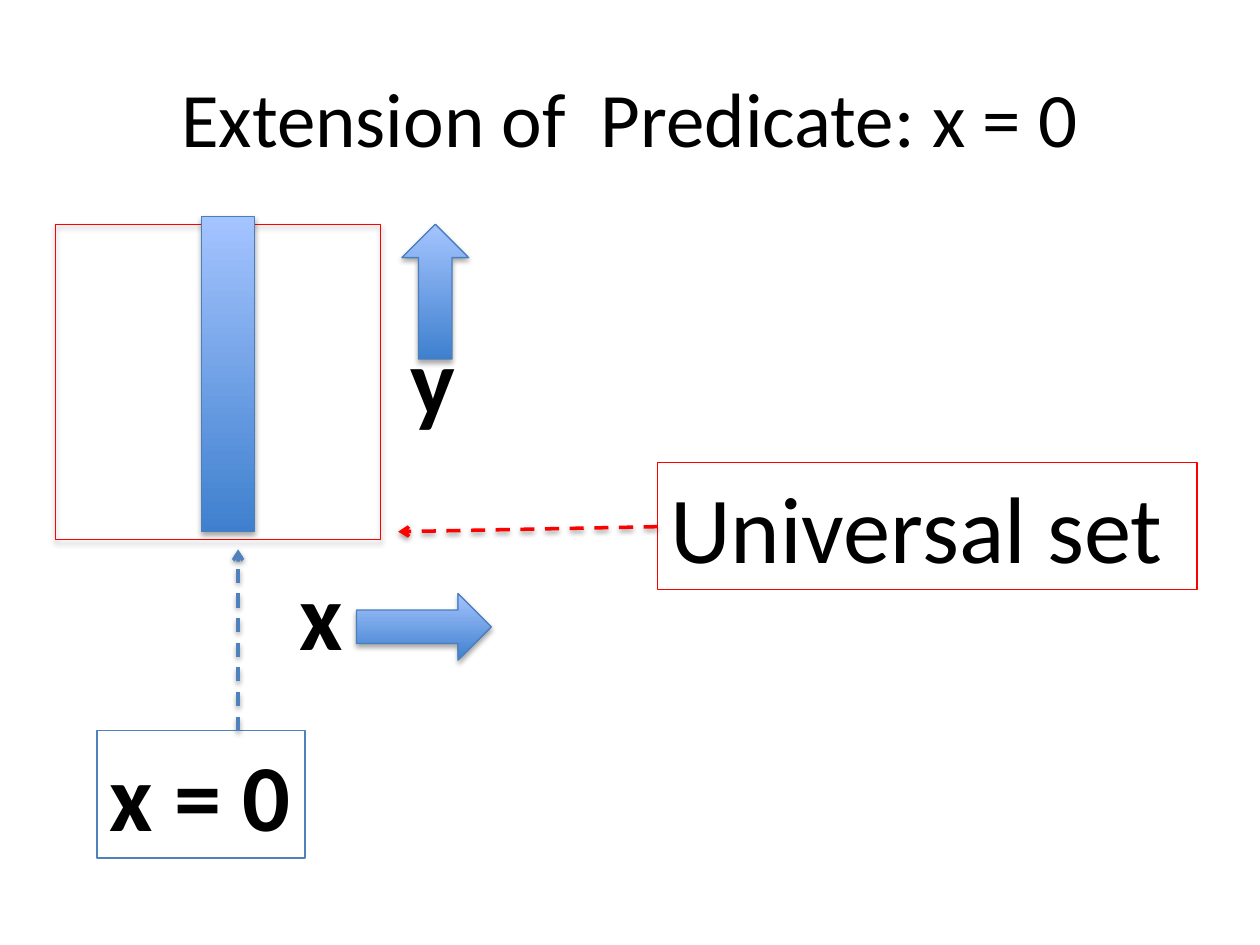
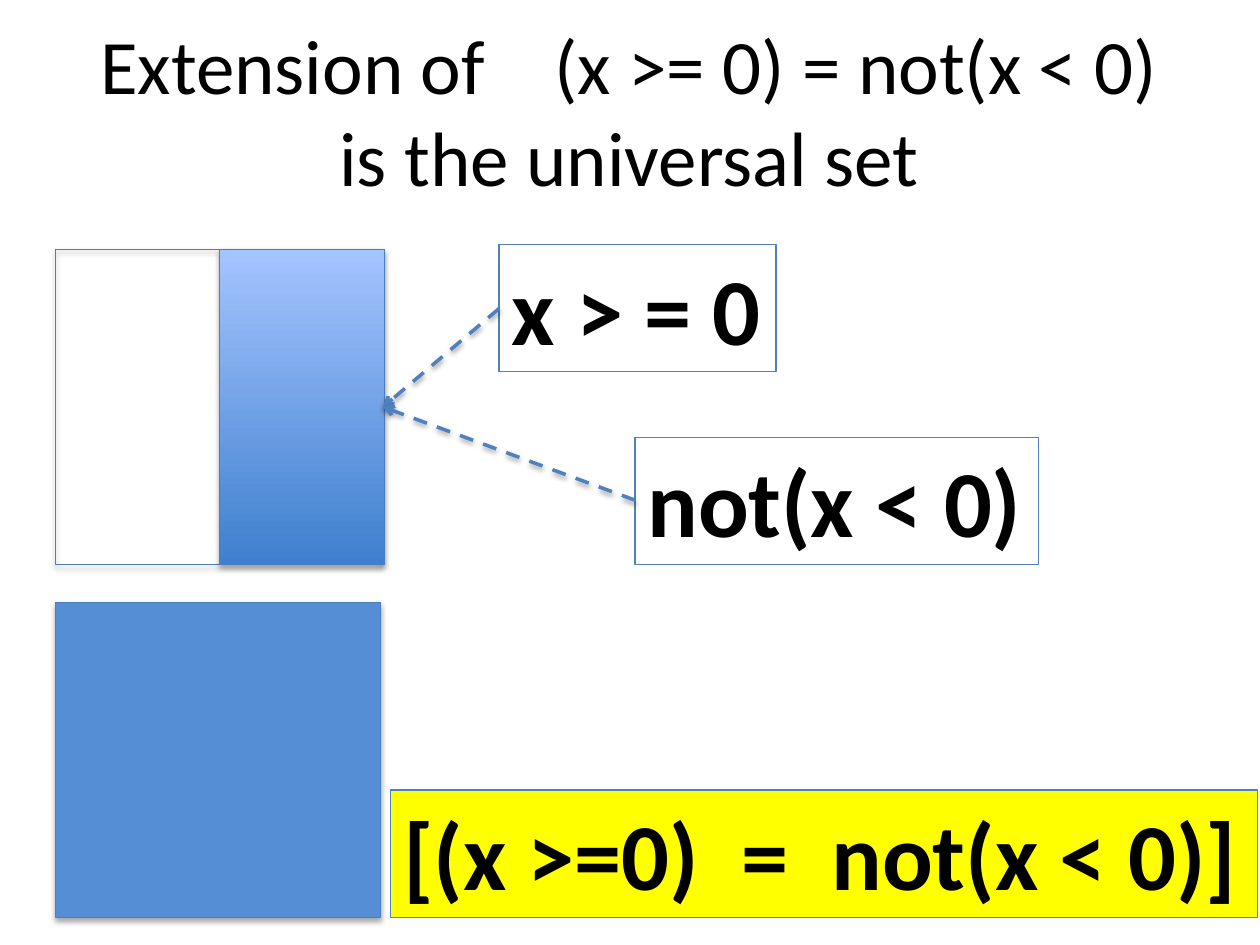
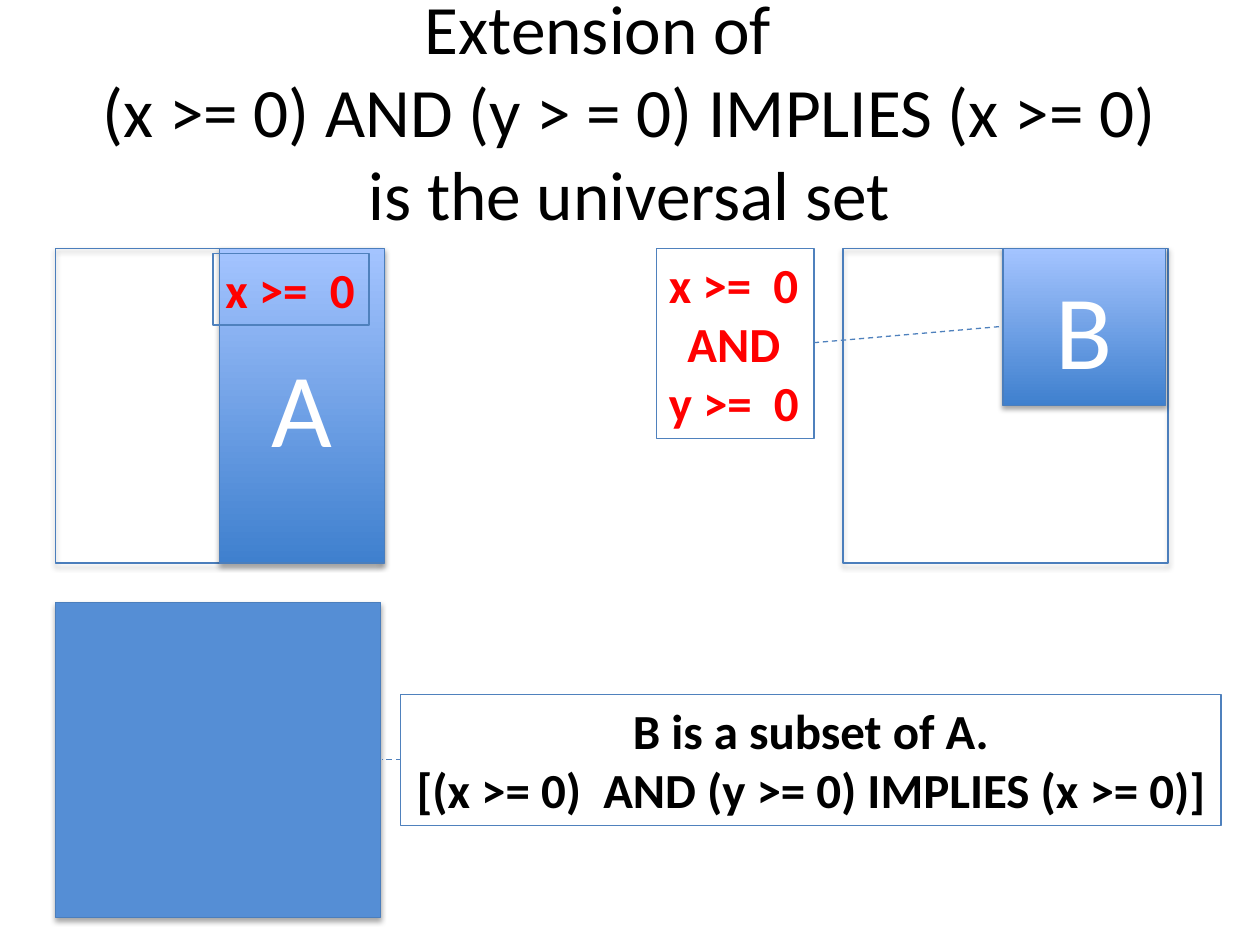
from lxml.etree import SubElement
from pptx import Presentation
from pptx.dml.color import RGBColor
from pptx.enum.dml import MSO_LINE_DASH_STYLE as Dash
from pptx.enum.shapes import MSO_CONNECTOR_TYPE as Connector, MSO_SHAPE as Shape
from pptx.enum.text import MSO_ANCHOR as Anchor, MSO_AUTO_SIZE as AutoSize, PP_ALIGN as Align
from pptx.oxml.ns import qn
from pptx.util import Inches, Pt

# The page is a grid of 100 columns by 75 rows; every place is given in its cells.
CELL = Inches(0.1)
COLUMNS, ROWS = 100, 75
TITLE_ONLY = 5
FONT = "Calibri"
COLORS = {
    "text": "000000",
    "light": "FFFFFF",
    "red": "FF0000",
    "highlight": "FFFF00",
    "outline": "4B7EBC",
    "accent": "4F81BD",
    "solid": "558ED5",
    "dark": "3F80CE",
    "pale": "A4C4FF",
}
TITLE_PLACE = (5.4, 0, 89.1, 17.4)
PANEL_LEFT, PANEL_WIDTH, PANEL_HEIGHT = 4.4, 25.8, 25
HALF_LEFT, HALF_WIDTH = 17.4, 13.1
LOWER_TOP = 47.8


def color(name):
    """Look up a named colour."""
    return RGBColor.from_string(COLORS[name])


def cells(*values):
    """Turn grid cells into lengths."""
    return [round(value * CELL) for value in values]


def style_text(para, size, name="text", bold=False, align=None):
    """Format a paragraph and its runs alike."""
    para.alignment = align
    for target in (para, *para.runs):
        font = target.font
        font.name, font.size, font.bold = FONT, Pt(size), bold
        font.color.rgb = color(name)


def style_line(line, name, width=0.75):
    """Give an outline or connector its colour and width."""
    line.color.rgb = color(name)
    line.width = Pt(width)


def add_shadow(shape, opacity, distance):
    """Drop a soft black shadow straight down."""
    effects = SubElement(shape._element.spPr, qn("a:effectLst"))
    shadow = SubElement(effects, qn("a:outerShdw"), blurRad=str(Pt(3.1)),
                        dist=str(Pt(distance)), dir="5400000", rotWithShape="0")
    black = SubElement(shadow, qn("a:srgbClr"), val=COLORS["text"])
    SubElement(black, qn("a:alpha"), val=str(opacity * 1000))


def add_page(deck, title, place=TITLE_PLACE, size=44):
    """Start a slide with a centred title."""
    page = deck.slides.add_slide(deck.slide_layouts[TITLE_ONLY])
    box = page.shapes.title
    box.left, box.top, box.width, box.height = cells(*place)
    frame = box.text_frame
    frame.auto_size = AutoSize.NONE
    frame.vertical_anchor = Anchor.MIDDLE
    frame.paragraphs[0].text = title
    style_text(frame.paragraphs[0], size, align=Align.CENTER)
    return page


def add_figure(shapes, place, fill=None, line="outline", kind=Shape.RECTANGLE, letter=None):
    """Draw a shadowed shape: hollow, plain or with a gradient, maybe lettered."""
    figure = shapes.add_shape(kind, *cells(*place))
    if fill is None:
        figure.fill.background()
    elif fill == "gradient":
        figure.fill.gradient()
        figure.fill.gradient_angle = 90
        for stop, name in zip(figure.fill.gradient_stops, ("dark", "pale")):
            stop.color.rgb = color(name)
    else:
        figure.fill.solid()
        figure.fill.fore_color.rgb = color(fill)
    style_line(figure.line, line)
    add_shadow(figure, 35, 1.8)
    if letter:
        figure.text_frame.vertical_anchor = Anchor.MIDDLE
        para = figure.text_frame.paragraphs[0]
        para.text = letter
        style_text(para, 60, "light", align=Align.CENTER)
    return figure


def add_half_panel(page, top, letter=None):
    """Draw the universe with its right half, x >= 0, filled."""
    group = page.shapes.add_group_shape()
    add_figure(group.shapes, (PANEL_LEFT, top, PANEL_WIDTH, PANEL_HEIGHT))
    add_figure(group.shapes, (HALF_LEFT, top, HALF_WIDTH, PANEL_HEIGHT), "gradient", letter=letter)


def add_full_panel(page):
    """Draw the wholly filled universe at the lower left."""
    add_figure(page.shapes, (PANEL_LEFT, LOWER_TOP, PANEL_WIDTH, PANEL_HEIGHT), "solid")


def add_label(page, place, lines, size=54, name="text", bold=True, line="accent",
              fill=None, wrap=False, aligns=(None,)):
    """Write a label; aligns repeats its last entry for further lines."""
    box = page.shapes.add_textbox(*cells(*place))
    if line:
        style_line(box.line, line)
    if fill:
        box.fill.solid()
        box.fill.fore_color.rgb = color(fill)
    frame = box.text_frame
    frame.word_wrap = wrap
    frame.auto_size = AutoSize.SHAPE_TO_FIT_TEXT
    frame.text = "\n".join(lines)
    for index, para in enumerate(frame.paragraphs):
        style_text(para, size, name, bold, aligns[min(index, len(aligns) - 1)])


def add_pointer(page, start, end, name="accent", arrow=True):
    """Draw a dashed line: a bold shadowed arrow, or a thin plain lead."""
    pointer = page.shapes.add_connector(Connector.STRAIGHT, *cells(*start, *end))
    style_line(pointer.line, name, 2 if arrow else 0.75)
    pointer.line.dash_style = Dash.DASH
    if arrow:
        SubElement(pointer.line._get_or_add_ln(), qn("a:tailEnd"), type="arrow")
        add_shadow(pointer, 38, 1.6)
    else:
        SubElement(pointer._element.spPr, qn("a:effectLst"))


def build_equality(deck):
    """Show x = 0 as a strip of the universe."""
    page = add_page(deck, "Extension of  Predicate: x = 0", (5, 3, 90, 12.5))
    add_figure(page.shapes, (PANEL_LEFT, 17.8, PANEL_WIDTH, PANEL_HEIGHT), line="red")
    add_figure(page.shapes, (16, 17.2, 4.2, PANEL_HEIGHT), "gradient")
    add_label(page, (22.8, 43.6, 5.5, 10.1), ["x"], line=None)
    add_figure(page.shapes, (28.3, 47.1, 10.7, 5.3), "gradient", kind=Shape.RIGHT_ARROW)
    add_label(page, (31.6, 25, 5.6, 10.1), ["y"], line=None)
    add_figure(page.shapes, (31.9, 17.8, 5.3, 10.7), "gradient", kind=Shape.UP_ARROW)
    add_label(page, (7.7, 58, 16.5, 10.1), ["x = 0"])
    add_pointer(page, (18.9, 58), (18.9, 43.6))
    add_label(page, (52.2, 36.7, 42.8, 10.1), ["Universal set"], bold=False, line="red", wrap=True)
    add_pointer(page, (52.2, 41.8), (31.6, 42.2), "red")


def build_negation(deck):
    """Show that x >= 0 and not(x < 0) have one extension."""
    page = add_page(deck, "Extension of    (x >= 0) = not(x < 0)\vis the universal set")
    add_label(page, (39.6, 19.4, 22, 10.1), ["x > = 0"])
    add_full_panel(page)
    add_half_panel(page, 19.8)
    add_label(page, (50.4, 34.7, 32, 10.1), ["not(x < 0)"])
    for start in ((39.6, 24.5), (50.4, 39.7)):
        add_pointer(page, start, (30.4, 32.3))
    add_label(page, (31, 62.7, 68.8, 10.1), ["[(x >=0)  =  not(x < 0)]"], fill="highlight")


def build_implication(deck):
    """Show an implication as a subset relation."""
    top = 19.7
    page = add_page(deck, "Extension of    \v(x >= 0) AND (y > = 0) IMPLIES (x >= 0)\v"
                          "is the universal set", size=39.6)
    add_figure(page.shapes, (66.9, top, PANEL_WIDTH, PANEL_HEIGHT))
    add_half_panel(page, top, "A")
    add_label(page, (31.8, 55.1, 65.1, 10.4),
              ["B is a subset of A.", "[(x >= 0)  AND (y >= 0) IMPLIES (x >= 0)]"],
              size=28, wrap=True, aligns=(Align.CENTER,))
    add_figure(page.shapes, (79.6, top, 12.9, PANEL_HEIGHT / 2), "gradient", letter="B")
    add_full_panel(page)
    add_label(page, (16.9, 20.1, 12.4, 5.7), ["x >=  0"], size=28, name="red")
    add_label(page, (52.1, top, 12.5, 15.1), ["x >=  0", "AND", "y >=  0"], size=28, name="red",
              aligns=(Align.LEFT, Align.CENTER, Align.LEFT))
    add_pointer(page, (64.6, 27.2), (79.6, 25.9), arrow=False)
    add_pointer(page, (31.8, 60.3), (30.3, 60.3), arrow=False)


def main():
    """Build and save the deck."""
    deck = Presentation()
    deck.slide_width, deck.slide_height = cells(COLUMNS, ROWS)
    for build in (build_equality, build_negation, build_implication):
        build(deck)
    deck.save("out.pptx")


main()
